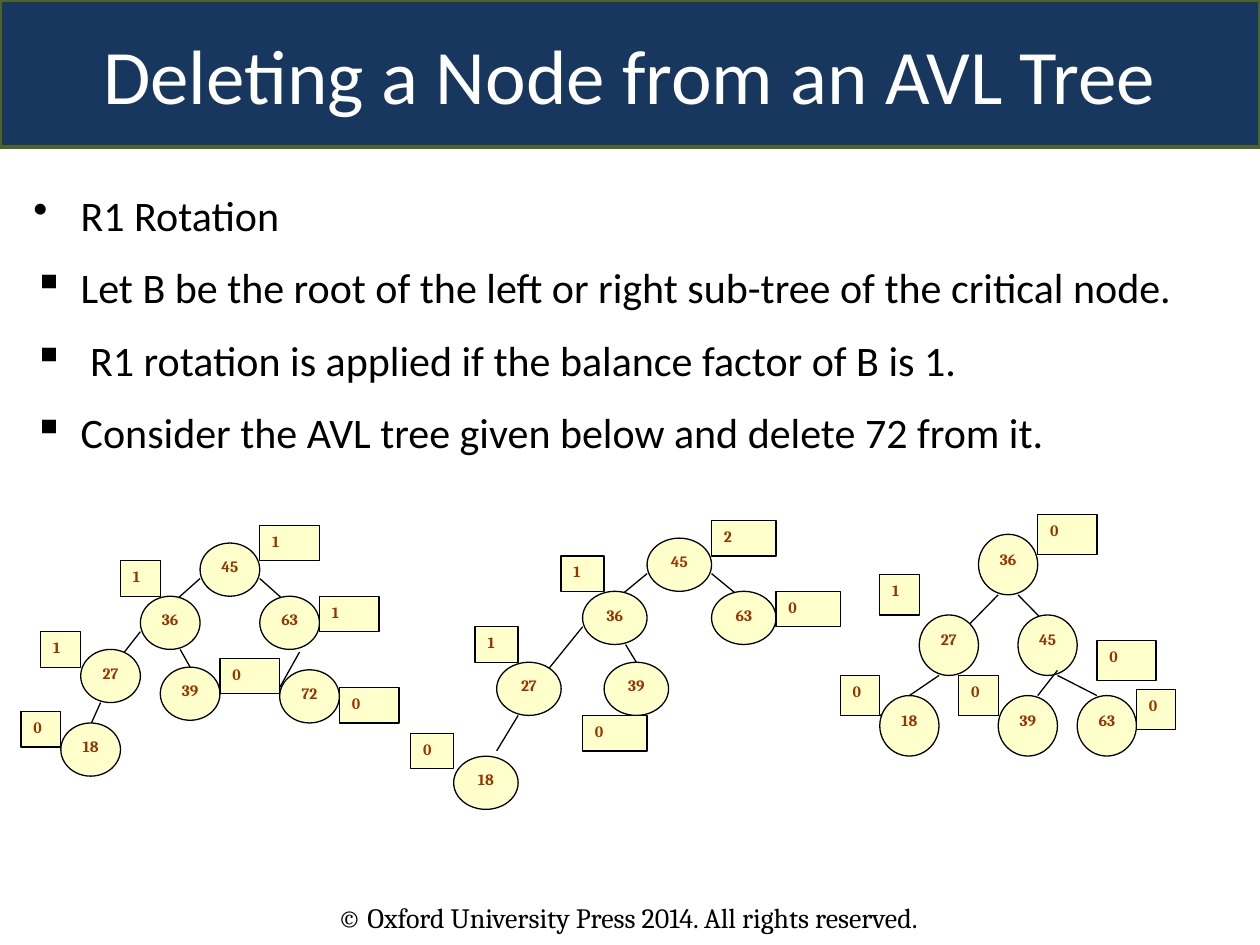
"""Build the slide on deleting a node from an AVL tree with an R1 rotation."""

from lxml.etree import SubElement
from pptx import Presentation
from pptx.dml.color import RGBColor
from pptx.enum.shapes import MSO_CONNECTOR, MSO_SHAPE
from pptx.enum.text import MSO_ANCHOR, PP_ALIGN
from pptx.oxml.ns import qn
from pptx.util import Pt

THEME = {
    "title": {"name": "Calibri", "size": Pt(44), "color": RGBColor(255, 255, 255)},
    "body": {"name": "Calibri", "size": Pt(24), "color": RGBColor(0, 0, 0)},
    "footer": {"name": "Cambria", "size": Pt(16), "color": RGBColor(0, 0, 0)},
    "label": {"name": "Cambria", "size": Pt(9), "bold": True, "color": RGBColor(0x99, 0x33, 0)},
    "banner": {"fill": RGBColor(0x17, 0x37, 0x5E), "line": RGBColor(0x4F, 0x62, 0x28), "width": Pt(2)},
    "tree": {"fill": RGBColor(0xFF, 0xFF, 0xCC), "line": RGBColor(0, 0, 0), "width": Pt(0.75)},
}


def write(para, text, style):
    span = para.add_run()
    span.text = text
    for name, value in THEME[style].items():
        if name == "color":
            span.font.color.rgb = value
        else:
            setattr(span.font, name, value)


def add_labelled(shapes, kind, frame, text, paint, style, layout, align):
    shape = shapes.add_shape(kind, *map(Pt, frame))
    shape.shadow.inherit = False
    shape.fill.solid()
    shape.fill.fore_color.rgb = THEME[paint]["fill"]
    shape.line.color.rgb = THEME[paint]["line"]
    shape.line.width = THEME[paint]["width"]
    for name, value in layout.items():
        setattr(shape.text_frame, name, value)
    para = shape.text_frame.paragraphs[0]
    para.alignment = align
    write(para, text, style)
    return shape


deck = Presentation()
deck.slide_width, deck.slide_height = Pt(720), Pt(540)
page = deck.slides.add_slide(deck.slide_layouts[6])

footer = page.shapes.add_textbox(Pt(185.8), Pt(511.2), Pt(426.2), Pt(26.6))
footer.text_frame.word_wrap = True
write(footer.text_frame.paragraphs[0], "© Oxford University Press 2014. All rights reserved.", "footer")

banner = add_labelled(
    page.shapes, MSO_SHAPE.ROUNDED_RECTANGLE, (0, 0, 720, 84), "Deleting a Node from an AVL Tree",
    "banner", "title", {"word_wrap": True, "vertical_anchor": MSO_ANCHOR.MIDDLE}, PP_ALIGN.CENTER)
banner.adjustments[0] = 0

bullets = [
    ("•", "R1 Rotation"),
    ("▪", "Let B be the root of the left or right sub-tree of the critical node."),
    ("▪", " R1 rotation is applied if the balance factor of B is 1."),
    ("▪", "Consider the AVL tree given below and delete 72 from it."),
]
body = page.shapes.add_textbox(Pt(12), Pt(96), Pt(696), Pt(126)).text_frame
body.word_wrap = True
for index, (mark, text) in enumerate(bullets):
    para = body.add_paragraph() if index else body.paragraphs[0]
    properties = para._p.get_or_add_pPr()
    properties.set("marL", str(Pt(27)))
    properties.set("indent", str(-Pt(27)))
    SubElement(properties, qn("a:buChar")).set("char", mark)
    para.line_spacing = 1.3
    para.space_before = Pt(4 if index else 0)
    write(para, text, "body")

trees = [
    {
        "origin": (12, 300.2), "step": (11.37, 10.13),
        "edges": [(9, 3, 7, 5), (12, 3, 14, 5), (6, 6, 4.5, 8.15), (8, 7, 9, 9), (4, 10, 3, 12.5)],
        "nodes": [("45", 9, 1), ("63", 12, 4), ("36", 6, 4), ("27", 3, 7), ("39", 7, 8),
                  ("72", 13, 8.15), ("18", 2, 11.15)],
        "balances": [("1", 15, 4, 3), ("1", 12, 0, 3), ("1", 1, 6, 2), ("0", 10, 7.5, 3),
                     ("1", 5, 2, 2), ("0", 0, 10.5, 2), ("0", 16, 9.15, 3)],
        "front_edges": [(14, 7.15, 13, 9.15)],
    },
    {
        "origin": (234.7, 297.4), "step": (12.28, 10.13),
        "edges": [(11, 3, 9, 5), (14, 3, 16, 5), (8, 6, 6, 9), (10, 7, 10.5, 8), (5, 11, 4, 13)],
        "nodes": [("45", 11, 1), ("63", 14, 4), ("36", 8, 4), ("27", 4, 8), ("39", 9, 8), ("18", 2, 13.3)],
        "balances": [("0", 17, 4, 3), ("2", 14, 0, 3), ("1", 3, 6, 2), ("0", 8, 11, 3),
                     ("1", 7, 2, 2), ("0", 0, 12, 2)],
        "front_edges": [],
    },
    {
        "origin": (480.2, 293.8), "step": (11.28, 11.52),
        "edges": [(8, 4, 6, 6), (9, 4, 11, 6), (5, 8, 2, 10)],
        "nodes": [("36", 7, 1), ("45", 9, 5), ("27", 4, 5), ("18", 2, 9), ("39", 8, 9), ("63", 12, 9)],
        "balances": [("0", 13, 6.25, 3), ("0", 10, 0, 3), ("0", 0, 8, 2), ("0", 6, 8, 2),
                     ("1", 2, 3, 2), ("0", 15, 8.7, 2)],
        "front_edges": [(11, 7.75, 10, 9), (11, 8, 13, 9)],
    },
]
for tree in trees:
    (left, top), (across, down) = tree["origin"], tree["step"]
    shapes = page.shapes.add_group_shape().shapes
    for layer in ("edges", "nodes", "balances", "front_edges"):
        for item in tree[layer]:
            if layer.endswith("edges"):
                x1, y1, x2, y2 = item
                edge = shapes.add_connector(
                    MSO_CONNECTOR.STRAIGHT, Pt(left + x1 * across), Pt(top + y1 * down),
                    Pt(left + x2 * across), Pt(top + y2 * down))
                edge.line.color.rgb = THEME["tree"]["line"]
                edge.line.width = THEME["tree"]["width"]
                SubElement(edge._element.spPr, qn("a:effectLst"))
                continue
            is_node = layer == "nodes"
            text, column, row = item[:3]
            columns, rows = (3, 3) if is_node else (item[3], 2)
            frame = (left + column * across, top + row * down, columns * across, rows * down)
            add_labelled(
                shapes, MSO_SHAPE.OVAL if is_node else MSO_SHAPE.RECTANGLE, frame, text, "tree", "label",
                {"word_wrap": not is_node, "vertical_anchor": MSO_ANCHOR.TOP},
                PP_ALIGN.CENTER if is_node else PP_ALIGN.LEFT)

deck.save("out.pptx")
